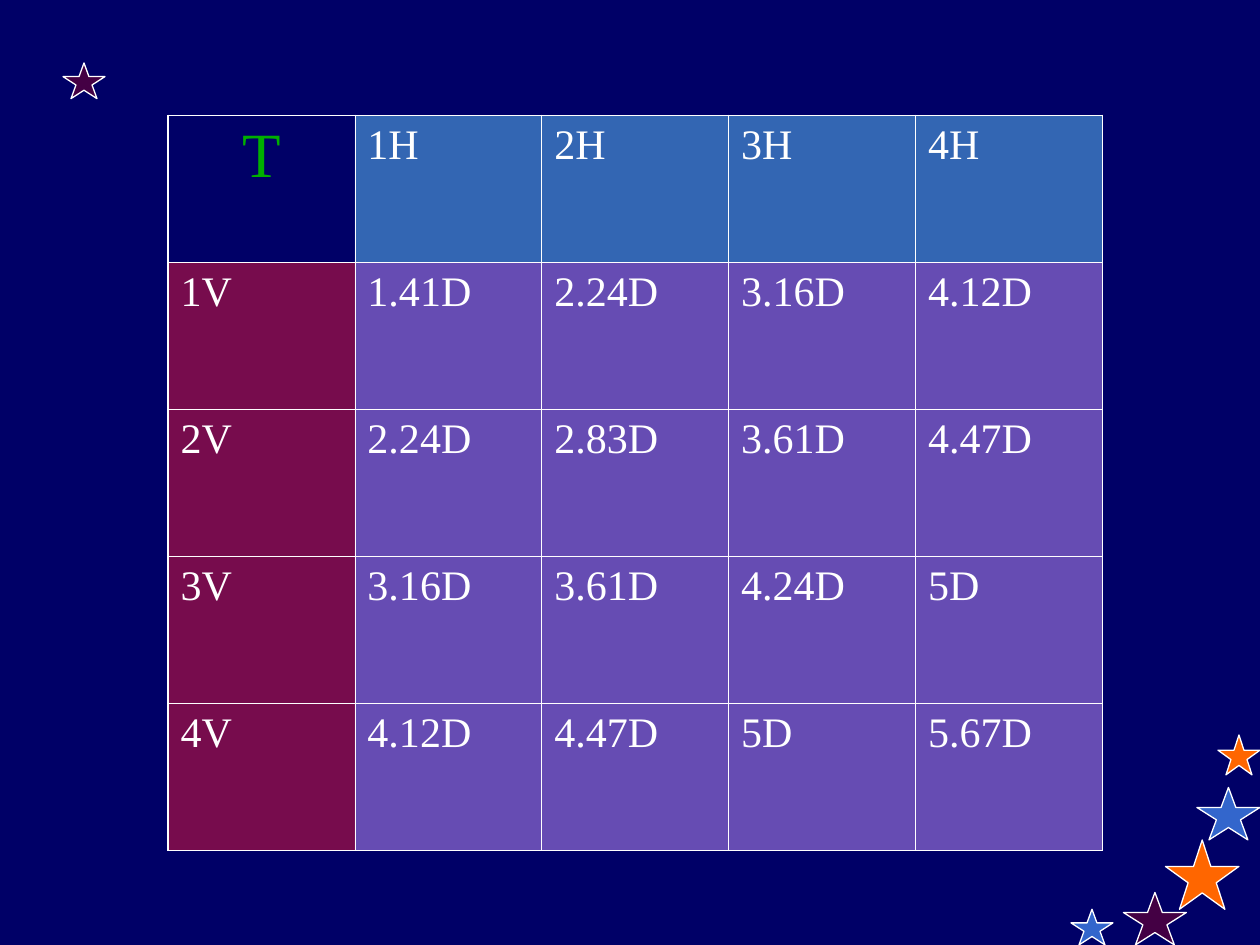
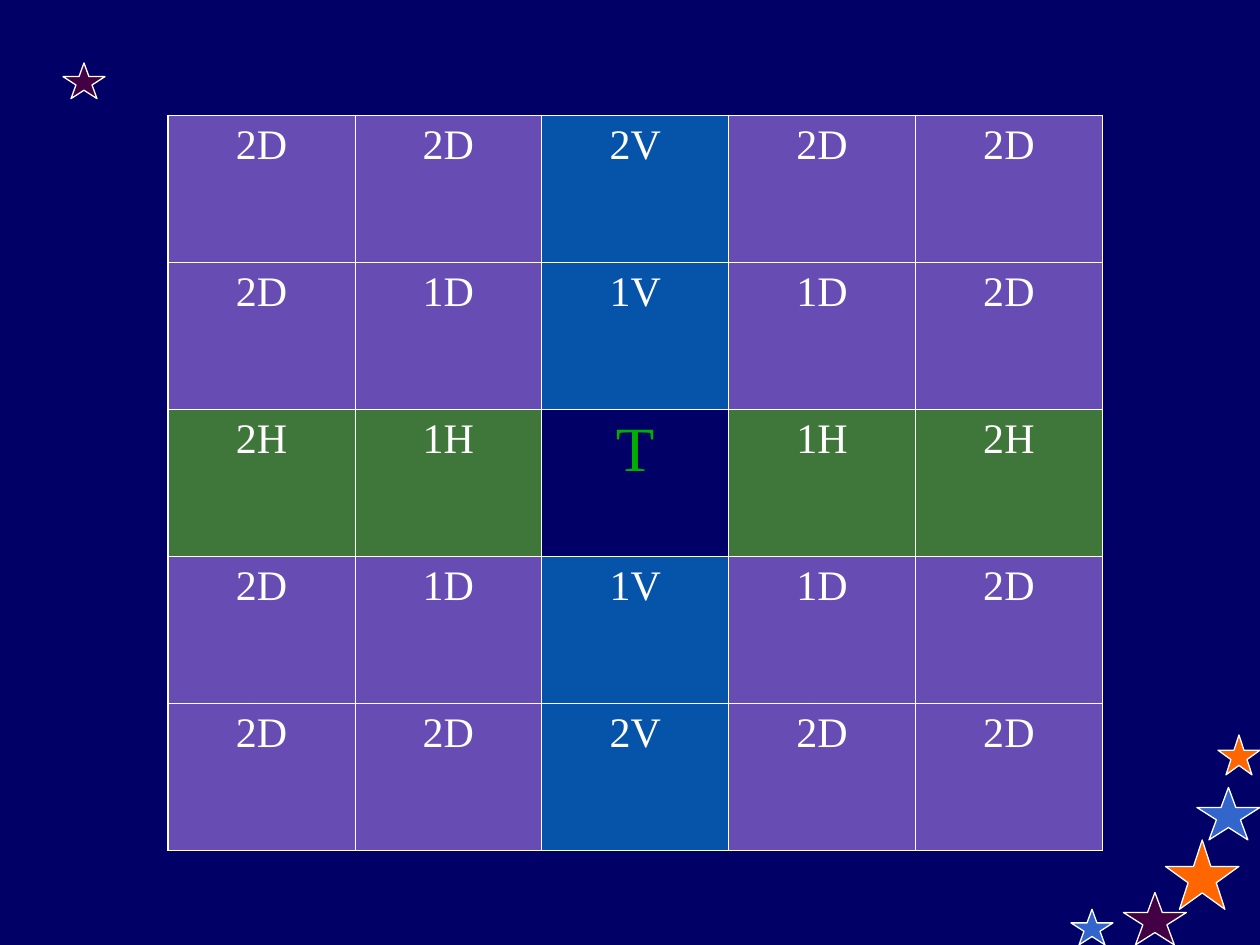
from dataclasses import dataclass

from lxml.etree import SubElement
from pptx import Presentation
from pptx.dml.color import RGBColor
from pptx.enum.shapes import MSO_SHAPE as Shape
from pptx.enum.text import PP_ALIGN as Align
from pptx.oxml.ns import qn
from pptx.util import Emu, Inches, Pt

NAVY = RGBColor(0x00, 0x00, 0x67)
WHITE = RGBColor(0xFF, 0xFF, 0xFF)
BLUE = RGBColor(0x33, 0x66, 0xCC)
ORANGE = RGBColor(0xFF, 0x66, 0x00)
PLUM = RGBColor(0x44, 0x00, 0x44)
GREEN = RGBColor(0x00, 0xB0, 0x00)
SKY = RGBColor(0x66, 0xCC, 0xFF)
RED = RGBColor(0xEE, 0x18, 0x34)
LILAC = RGBColor(0xCC, 0x99, 0xFF)
AZURE = RGBColor(0x0C, 0xA8, 0xEE)
LIME = RGBColor(0x7D, 0xEE, 0x0C)

FONT = "Times New Roman"
WIDTH, HEIGHT = Inches(10), Inches(7.5)
UNIT = WIDTH / 120  # the slide is a grid of 120 by 90 units
TABLE_BOX = (16, 11, 89, 70)
INNER_LINE, OUTER_LINE = Pt(0.45), Pt(1.08)
PLAIN_STYLE = "{2D5ABB26-0587-4C30-8999-92F81FD0307C}"
TARGET = "T"


@dataclass(frozen=True)
class Star:
    box: tuple[float, float, float, float]
    color: RGBColor


@dataclass(frozen=True)
class DistanceTable:
    """Cell texts; each cell is coloured by the last letter of its text."""
    rows: list[list[str]]
    fills: dict[str, RGBColor]
    align: Align


STARS = [
    Star((114, 75, 6, 5), BLUE),
    Star((111, 80, 7, 6.6), ORANGE),
    Star((107, 85, 6, 5), PLUM),
    Star((116, 70, 4, 3.8), ORANGE),
    Star((102, 86.6, 4, 3.4), BLUE),
    Star((6, 6, 4, 3.4), PLUM),
]


def step_name(down: int, across: int) -> str:
    """Name the move from the target: vertical, horizontal or diagonal."""
    if down == across == 0:
        return TARGET
    letter = "V" if across == 0 else "H" if down == 0 else "D"
    return f"{max(abs(down), abs(across))}{letter}"


STEPS = range(-2, 3)
TABLES = [
    DistanceTable(
        [
            [TARGET, "1H", "2H", "3H", "4H"],
            ["1V", "1.41D", "2.24D", "3.16D", "4.12D"],
            ["2V", "2.24D", "2.83D", "3.61D", "4.47D"],
            ["3V", "3.16D", "3.61D", "4.24D", "5D"],
            ["4V", "4.12D", "4.47D", "5D", "5.67D"],
        ],
        {"H": SKY, "V": RED, "D": LILAC},
        Align.LEFT,
    ),
    DistanceTable(
        [[step_name(down, across) for across in STEPS] for down in STEPS],
        {"H": LIME, "V": AZURE, "D": LILAC},
        Align.CENTER,
    ),
]


def grid(box: tuple[float, float, float, float]) -> list[Emu]:
    return [Emu(round(n * UNIT)) for n in box]


def add_star(slide, star: Star) -> None:
    s = slide.shapes.add_shape(Shape.STAR_5_POINT, *grid(star.box))
    s.shadow.inherit = False
    s.fill.solid()
    s.fill.fore_color.rgb = star.color
    s.line.color.rgb = WHITE
    s.line.width = Pt(0.75)


def set_fill(cell, color: RGBColor | None) -> None:
    """Fill a cell half transparent, or leave it clear."""
    if color is None:
        cell.fill.background()
        return
    cell.fill.solid()
    cell.fill.fore_color.rgb = color
    for clr in cell._tc.tcPr.iter(qn("a:srgbClr")):
        SubElement(clr, qn("a:alpha"), val="50000")


def set_borders(cell, outer: dict[str, bool]) -> None:
    """Draw the four sides, given in schema order, ahead of the fill."""
    tc_pr = cell._tc.get_or_add_tcPr()
    for i, (side, is_outer) in enumerate(outer.items()):
        width = OUTER_LINE if is_outer else INNER_LINE
        ln = SubElement(tc_pr, qn(f"a:ln{side}"), w=str(width))
        fill = SubElement(ln, qn("a:solidFill"))
        SubElement(fill, qn("a:srgbClr"), val=str(WHITE))
        tc_pr.insert(i, ln)


def add_distance_table(slide, data: DistanceTable) -> None:
    n_rows, n_cols = len(data.rows), len(data.rows[0])
    frame = slide.shapes.add_table(n_rows, n_cols, *grid(TABLE_BOX))
    table = frame.table
    table.first_row = table.horz_banding = False
    for style in frame._element.iter(qn("a:tableStyleId")):
        style.text = PLAIN_STYLE
    for r, row in enumerate(data.rows):
        for c, text in enumerate(row):
            cell = table.cell(r, c)
            cell.text = text
            is_target = text == TARGET
            p = cell.text_frame.paragraphs[0]
            p.alignment = Align.CENTER if is_target else data.align
            p.font.name = FONT
            p.font.size = Pt(36 if is_target else 24)
            p.font.color.rgb = GREEN if is_target else WHITE
            set_fill(cell, data.fills.get(text[-1]))
            set_borders(cell, {"L": c == 0, "R": c == n_cols - 1,
                               "T": r == 0, "B": r == n_rows - 1})


def main() -> None:
    prs = Presentation()
    prs.slide_width, prs.slide_height = WIDTH, HEIGHT
    background = prs.slide_master.background.fill
    background.solid()
    background.fore_color.rgb = NAVY
    for data in TABLES:
        slide = prs.slides.add_slide(prs.slide_layouts[6])
        for star in STARS:
            add_star(slide, star)
        add_distance_table(slide, data)
    prs.save("out.pptx")


if __name__ == "__main__":
    main()
